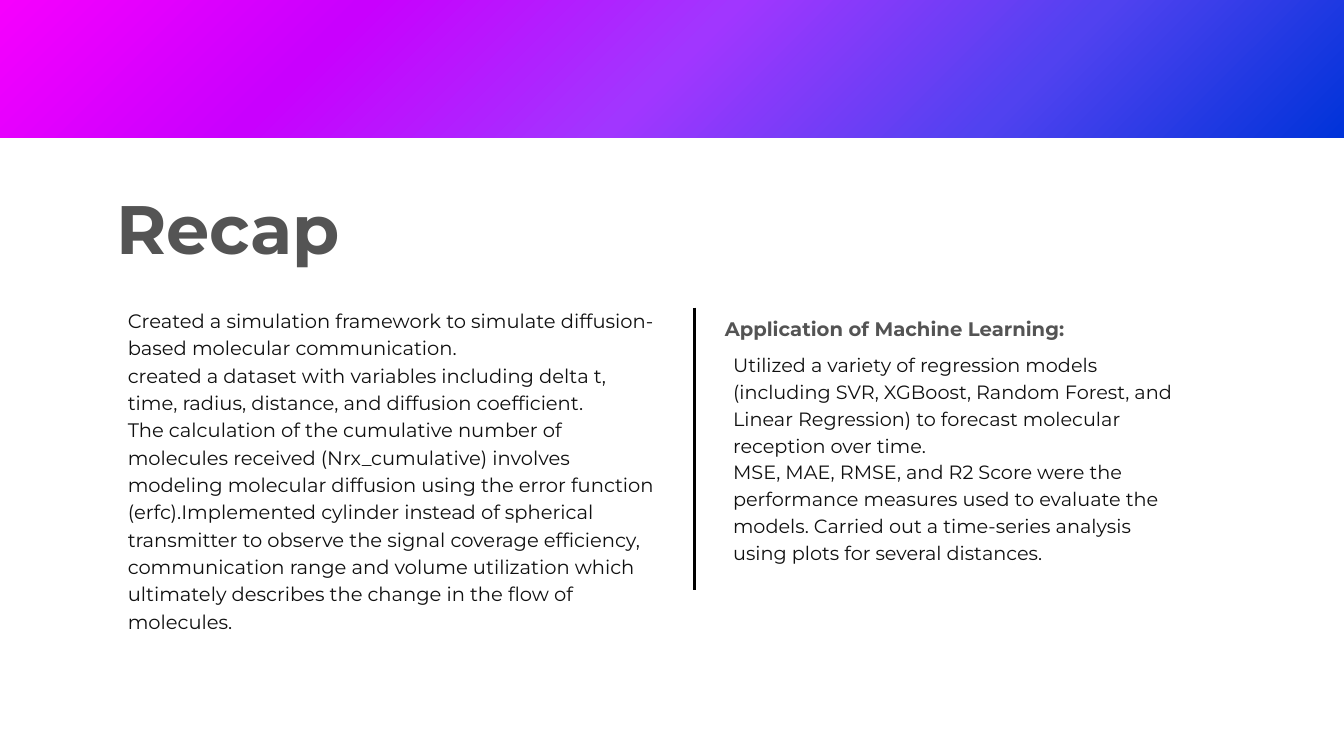
import lxml.etree
import pptx
import pptx.dml.color
import pptx.enum.shapes
import pptx.enum.text
import pptx.oxml.ns
import pptx.util

Cm = pptx.util.Cm
Pt = pptx.util.Pt
qn = pptx.oxml.ns.qn
ALIGN = pptx.enum.text.PP_ALIGN


def rgb(value):
    return pptx.dml.color.RGBColor.from_string(value)


class Deck:
    font = "Montserrat"
    heading = "545454"
    body = "101010"
    rule = "000000"

    def __init__(self, width, height):
        self.prs = pptx.Presentation()
        self.prs.slide_width = Cm(width)
        self.prs.slide_height = Cm(height)
        self.s = None

    def add_slide(self):
        self.s = self.prs.slides.add_slide(self.prs.slide_layouts[6])

    def gradient_band(self, x, y, w, h, colors):
        kind = pptx.enum.shapes.MSO_SHAPE.RECTANGLE
        sp = self.s.shapes.add_shape(kind, Cm(x), Cm(y), Cm(w), Cm(h))
        sp.shadow.inherit = False
        sp.line.fill.background()
        sp.fill.gradient()
        sp.fill.gradient_angle = 315
        stops = next(sp.element.spPr.iter(qn("a:gsLst")))
        for stop in list(stops):
            stops.remove(stop)
        for i, color in enumerate(colors):
            position = 100000 * i // (len(colors) - 1)
            stop = lxml.etree.SubElement(stops, qn("a:gs"), pos=str(position))
            lxml.etree.SubElement(stop, qn("a:srgbClr"), val=color)

    def text(self, x, y, w, h, paragraphs, size, spacing, color=body,
             bold=False, align=ALIGN.LEFT):
        sp = self.s.shapes.add_textbox(Cm(x), Cm(y), Cm(w), Cm(h))
        tf = sp.text_frame
        tf.word_wrap = True
        tf.auto_size = pptx.enum.text.MSO_AUTO_SIZE.SHAPE_TO_FIT_TEXT
        tf.margin_left = tf.margin_top = tf.margin_right = tf.margin_bottom = 0
        for i, content in enumerate(paragraphs):
            p = tf.add_paragraph() if i else tf.paragraphs[0]
            p.alignment = align
            p.line_spacing = Pt(spacing)
            r = p.add_run()
            r.text = content
            r.font.name = self.font
            r.font.size = Pt(size)
            r.font.bold = bold
            r.font.color.rgb = rgb(color)

    def vertical_rule(self, x, top, bottom, width):
        kind = pptx.enum.shapes.MSO_CONNECTOR.STRAIGHT
        line = self.s.shapes.add_connector(kind, Cm(x), Cm(top), Cm(x), Cm(bottom))
        line.line.color.rgb = rgb(self.rule)
        line.line.width = Pt(width)
        lxml.etree.SubElement(line.element.spPr, qn("a:effectLst"))


def main():
    deck = Deck(50.8, 28.58)
    deck.add_slide()
    deck.text(4.39, 6.5, 23.32, 3.45, ["Recap"], 73.4, 102.8, deck.heading, True)
    deck.text(4.83, 11.53, 19.99, 12.22, [
        "Created a simulation framework to simulate diffusion-based molecular "
        "communication.",
        "created a dataset with variables including delta t, time, radius, "
        "distance, and diffusion coefficient.",
        "The calculation of the cumulative number of molecules received "
        "(Nrx_cumulative) involves modeling molecular diffusion using the error "
        "function (erfc).Implemented cylinder instead of spherical transmitter "
        "to observe the signal coverage efficiency, communication range and "
        "volume utilization which ultimately describes the change in the flow "
        "of molecules.",
    ], 20.9, 29.3)
    deck.text(27.71, 13.21, 17.07, 7.98, [
        "Utilized a variety of regression models (including SVR, XGBoost, "
        "Random Forest, and Linear Regression) to forecast molecular reception "
        "over time.",
        "MSE, MAE, RMSE, and R2 Score were the performance measures used to "
        "evaluate the models. Carried out a time-series analysis using plots "
        "for several distances.",
    ], 20.6, 28.8)
    deck.gradient_band(0, 0, 50.8, 5.21,
                       ["F600FE", "C900FE", "A136FF", "5142F0", "0033D9"])
    deck.vertical_rule(26.26, 11.63, 22.3, 3)
    deck.text(26.95, 12.04, 13.72, 0.81, ["Application of Machine Learning:"],
              21, 23.1, deck.heading, True, ALIGN.CENTER)
    deck.prs.save("out.pptx")


if __name__ == "__main__":
    main()
